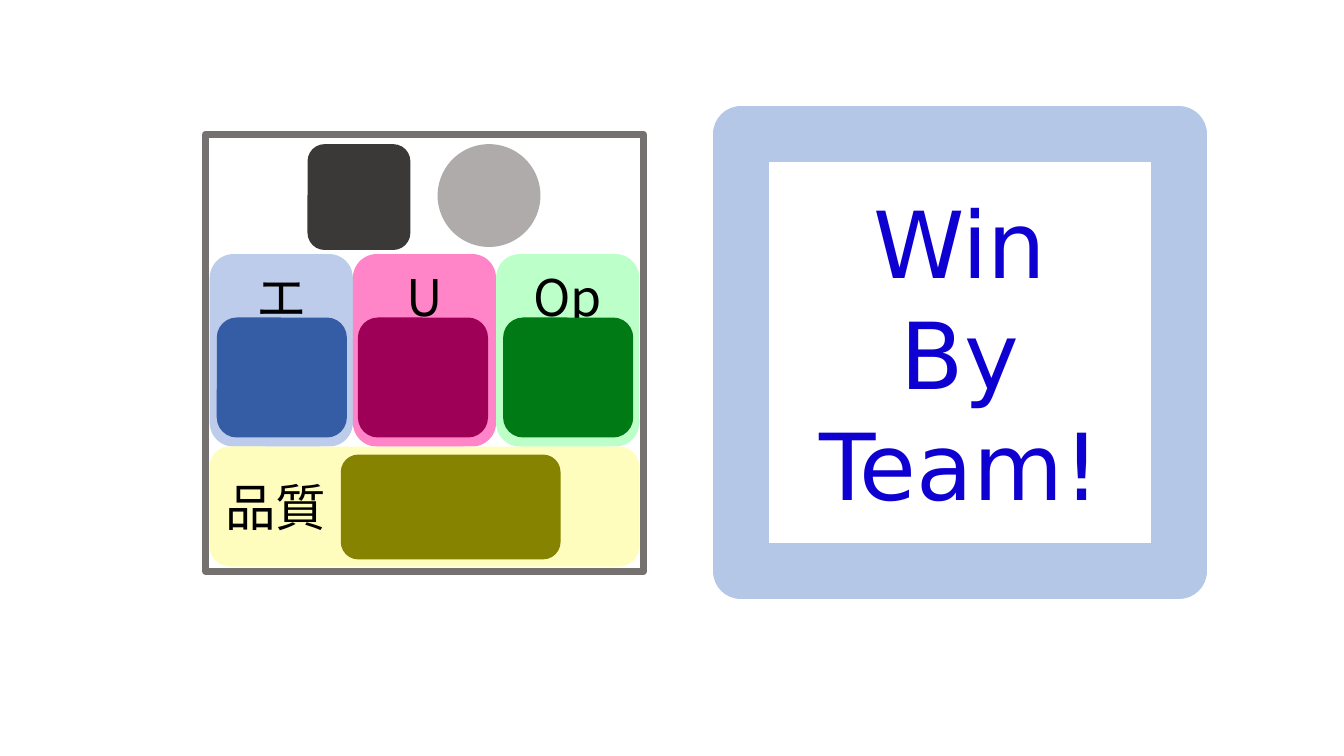
from dataclasses import dataclass

from lxml.etree import SubElement
from pptx import Presentation
from pptx.dml.color import RGBColor
from pptx.enum.shapes import MSO_SHAPE
from pptx.enum.text import MSO_ANCHOR, PP_ALIGN
from pptx.oxml.ns import qn
from pptx.shapes.autoshape import Shape
from pptx.slide import Slide
from pptx.util import Inches, Pt


@dataclass(frozen=True)
class Theme:
    white: str = "FFFFFF"
    black: str = "000000"
    board_line: str = "767171"
    dark_block: str = "3B3838"
    grey_ball: str = "AFABAB"
    quality_panel: str = "FFFDBD"
    quality_block: str = "868300"
    slogan_frame: str = "B4C7E7"
    slogan_text: str = "0F00D2"
    label_font: str = "Noto Sans CJK JP"
    slogan_font: str = "DejaVu Sans"
    label_size: int = 36
    slogan_size: int = 66
    board_width: int = 5
    slogan_width: int = 40


@dataclass(frozen=True)
class Block:
    left: float
    top: float
    width: float
    height: float
    fill: str
    kind: MSO_SHAPE = MSO_SHAPE.ROUNDED_RECTANGLE
    line: str | None = None
    line_width: int = 0


@dataclass(frozen=True)
class Team:
    label: str
    panel_fill: str
    block_fill: str
    block_left: float


THEME = Theme()
TEAMS = (
    Team("エ", "BCCCEA", "345DA6", 2.15),
    Team("U", "FF85C8", "9E0057", 3.55),
    Team("Op", "BDFFC8", "007A14", 4.99),
)
FRAME_TOP = 1.33
FRAME_SIDE = 4.34
PANEL_LEFT = 2.08
PANEL_TOP = 2.52
PANEL_WIDTH = 1.42
PANEL_HEIGHT = 1.91


def draw_block(slide: Slide, block: Block) -> Shape:
    shape = slide.shapes.add_shape(
        block.kind,
        Inches(block.left),
        Inches(block.top),
        Inches(block.width),
        Inches(block.height),
    )
    shape.shadow.inherit = False
    shape.fill.solid()
    shape.fill.fore_color.rgb = RGBColor.from_string(block.fill)
    if block.line is None:
        shape.line.fill.background()
    else:
        shape.line.color.rgb = RGBColor.from_string(block.line)
        shape.line.width = Pt(block.line_width)
    return shape


def write_text(
    shape: Shape,
    text: str,
    *,
    font: str = THEME.label_font,
    size: int = THEME.label_size,
    color: str = THEME.black,
    align: PP_ALIGN = PP_ALIGN.CENTER,
    anchor: MSO_ANCHOR = MSO_ANCHOR.MIDDLE,
    wrap: bool = False,
) -> None:
    frame = shape.text_frame
    frame.word_wrap = wrap
    frame.vertical_anchor = anchor
    frame.text = text
    for para in frame.paragraphs:
        para.alignment = align
        for span in para.runs:
            span.font.name = font
            span.font.size = Pt(size)
            span.font.color.rgb = RGBColor.from_string(color)
            properties = span._r.get_or_add_rPr()
            SubElement(properties, qn("a:ea")).set("typeface", font)


def draw_team_panels(slide: Slide) -> None:
    for index, team in enumerate(TEAMS):
        left = PANEL_LEFT + index * PANEL_WIDTH
        panel = Block(left, PANEL_TOP, PANEL_WIDTH, PANEL_HEIGHT, team.panel_fill)
        write_text(draw_block(slide, panel), team.label, anchor=MSO_ANCHOR.TOP)


def draw_quality_panel(slide: Slide) -> None:
    panel = Block(
        PANEL_LEFT,
        PANEL_TOP + PANEL_HEIGHT,
        PANEL_WIDTH * len(TEAMS),
        1.19,
        THEME.quality_panel,
    )
    write_text(draw_block(slide, panel), "品質", align=PP_ALIGN.LEFT)


def draw_slogan(slide: Slide) -> None:
    frame = Block(
        7.35, FRAME_TOP, FRAME_SIDE, FRAME_SIDE, THEME.white,
        MSO_SHAPE.RECTANGLE, THEME.slogan_frame, THEME.slogan_width,
    )
    write_text(
        draw_block(slide, frame),
        "Win\nBy\nTeam!",
        font=THEME.slogan_font,
        size=THEME.slogan_size,
        color=THEME.slogan_text,
        wrap=True,
    )


def main() -> None:
    deck = Presentation()
    deck.slide_width = Inches(13.33)
    deck.slide_height = Inches(7.5)
    slide = deck.slides.add_slide(deck.slide_layouts[6])

    board = Block(
        2.04, FRAME_TOP, FRAME_SIDE, FRAME_SIDE, THEME.white,
        MSO_SHAPE.RECTANGLE, THEME.board_line, THEME.board_width,
    )
    draw_block(slide, board)
    draw_team_panels(slide)
    draw_quality_panel(slide)
    draw_block(slide, Block(3.05, 1.43, 1.02, 1.05, THEME.dark_block))
    draw_block(slide, Block(4.34, 1.43, 1.02, 1.02, THEME.grey_ball, MSO_SHAPE.OVAL))
    draw_slogan(slide)
    for team in TEAMS:
        draw_block(slide, Block(team.block_left, 3.15, 1.29, 1.19, team.block_fill))
    draw_block(slide, Block(3.38, 4.51, 2.18, 1.04, THEME.quality_block))

    deck.save("out.pptx")


if __name__ == "__main__":
    main()
